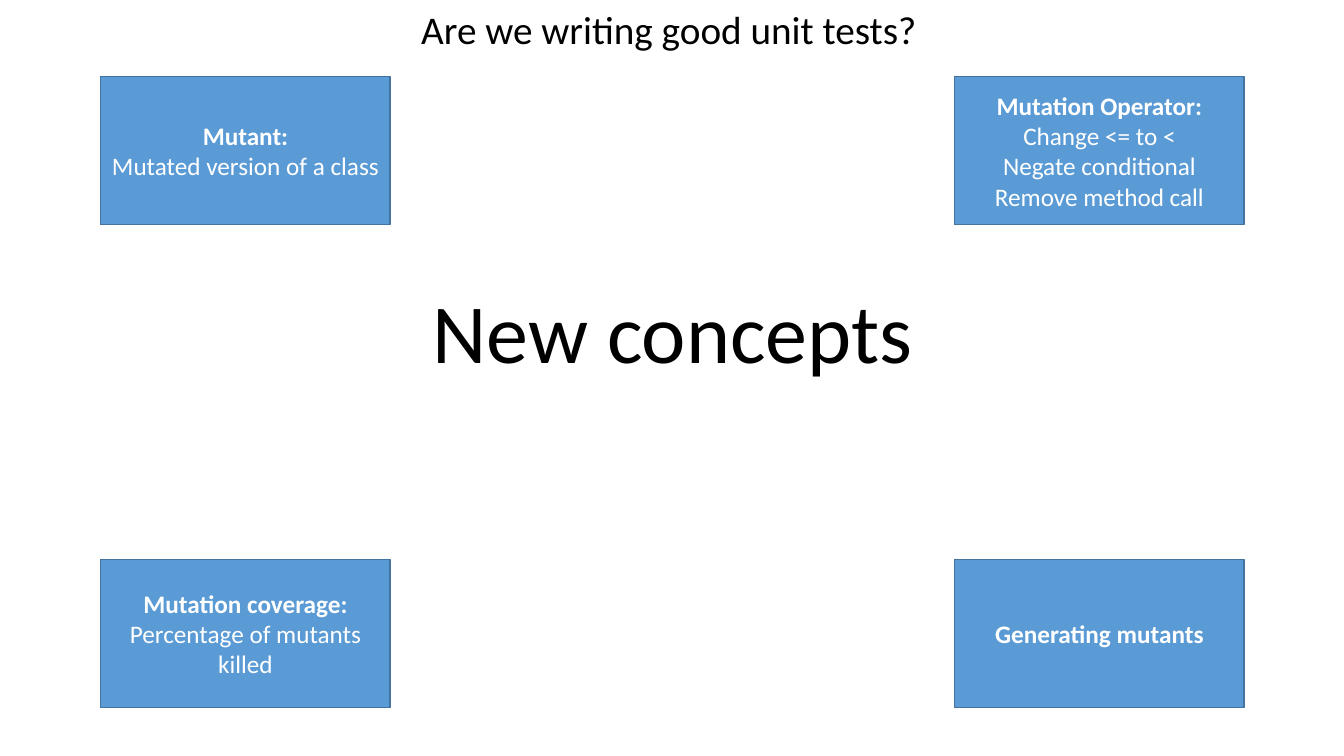
from dataclasses import dataclass

from pptx import Presentation
from pptx import util as u
from pptx.dml.color import RGBColor
from pptx.enum import shapes, text

PX = 9144


@dataclass(frozen=True)
class Theme:
    font: str = "Calibri"
    ink: str = "000000"
    card_text: str = "FFFFFF"
    card_fill: str = "5B9BD5"
    card_line: str = "43739E"
    headline_size: int = 60
    question_size: int = 28
    card_size: int = 18


THEME = Theme()

CONCEPTS = [
    [
        ["Mutant:", "Mutated version of a class"],
        ["Mutation Operator:", "Change <= to <", "Negate conditional", "Remove method call"],
    ],
    [
        ["Mutation coverage:", "Percentage of mutants killed"],
        ["Generating mutants"],
    ],
]


def to_emu(box):
    return [length * PX for length in box]


def style_paragraph(paragraph, size, color, bold=False):
    paragraph.font.name = THEME.font
    paragraph.font.size = u.Pt(size)
    paragraph.font.bold = bold
    paragraph.font.color.rgb = RGBColor.from_string(color)


def add_label(slide, box, words, size, anchor, wrap):
    frame = slide.shapes.add_textbox(*to_emu(box)).text_frame
    frame.word_wrap = wrap
    frame.vertical_anchor = anchor
    paragraph = frame.paragraphs[0]
    paragraph.text = words
    style_paragraph(paragraph, size, THEME.ink)
    return frame


def add_headline(slide, box):
    frame = add_label(slide, box, "New concepts", THEME.headline_size,
                      text.MSO_ANCHOR.BOTTOM, True)
    paragraph = frame.paragraphs[0]
    paragraph.alignment = text.PP_ALIGN.CENTER
    paragraph.line_spacing = 0.9


def add_question(slide, box):
    frame = add_label(slide, box, "Are we writing good unit tests?",
                      THEME.question_size, text.MSO_ANCHOR.TOP, False)
    frame.auto_size = text.MSO_AUTO_SIZE.SHAPE_TO_FIT_TEXT


def add_card(slide, box, lines):
    card = slide.shapes.add_shape(shapes.MSO_SHAPE.RECTANGLE, *to_emu(box))
    card.shadow.inherit = False
    card.fill.solid()
    card.fill.fore_color.rgb = RGBColor.from_string(THEME.card_fill)
    card.line.color.rgb = RGBColor.from_string(THEME.card_line)
    card.line.width = u.Pt(1)
    frame = card.text_frame
    frame.word_wrap = True
    frame.vertical_anchor = text.MSO_ANCHOR.MIDDLE
    frame.text = "\n".join(lines)
    for index, paragraph in enumerate(frame.paragraphs):
        paragraph.alignment = text.PP_ALIGN.CENTER
        style_paragraph(paragraph, THEME.card_size, THEME.card_text, bold=index == 0)


def add_corner_cards(slide, box, card_width=287, card_height=147):
    left, top, width, height = box
    for row, concepts in enumerate(CONCEPTS):
        for column, lines in enumerate(concepts):
            card_left = left + column * (width - card_width)
            card_top = top + row * (height - card_height)
            add_card(slide, (card_left, card_top, card_width, card_height), lines)


def build_concepts_slide(presentation):
    slide = presentation.slides.add_slide(presentation.slide_layouts[6])
    add_headline(slide, (167, 123, 1000, 261))
    add_corner_cards(slide, (100, 76, 1134, 626))
    add_question(slide, (408, 0, 517, 57))


def main():
    presentation = Presentation()
    presentation.slide_width = 1333 * PX
    presentation.slide_height = 750 * PX
    build_concepts_slide(presentation)
    presentation.save("out.pptx")


if __name__ == "__main__":
    main()
